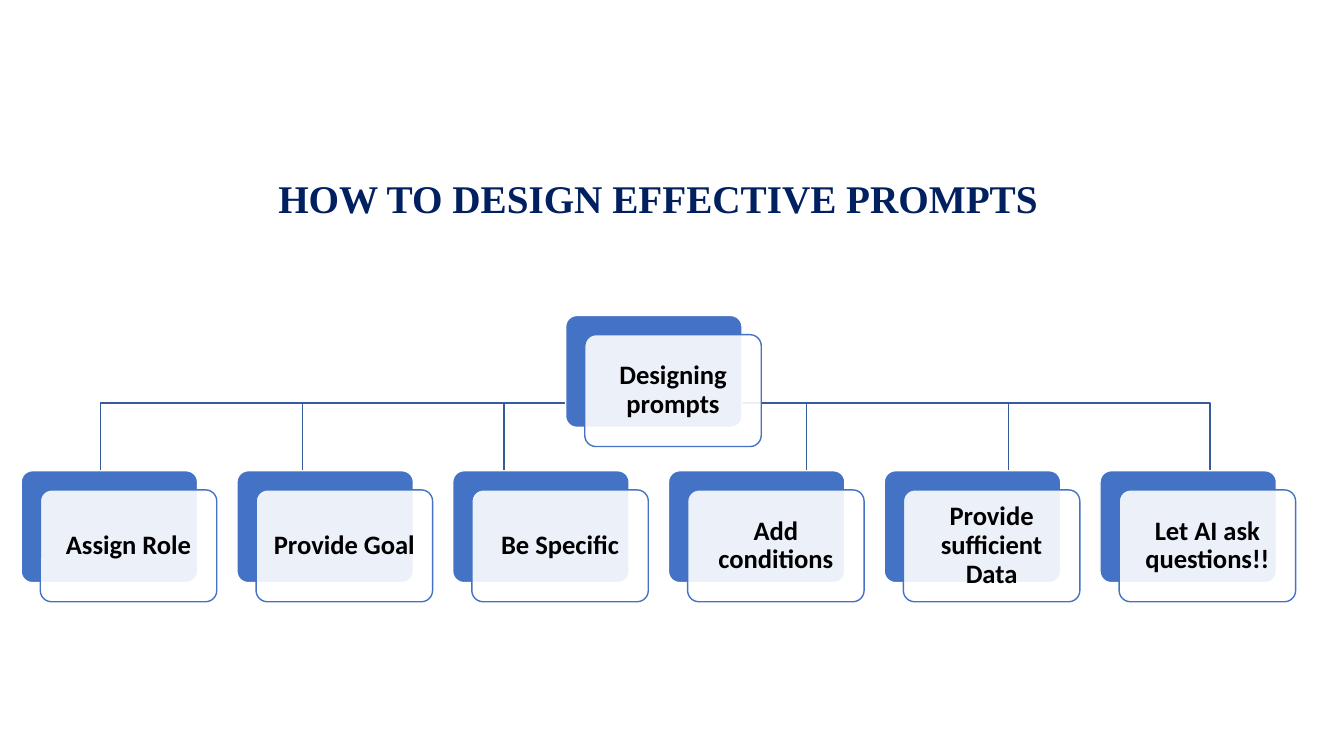
from dataclasses import dataclass

import lxml.etree
import pptx
import pptx.dml.color
import pptx.enum.shapes
import pptx.enum.text
import pptx.oxml.ns
import pptx.util
from pptx.util import Inches

RGB = pptx.dml.color.RGBColor.from_string
ALIGN = pptx.enum.text.PP_ALIGN
ANCHOR = pptx.enum.text.MSO_ANCHOR


@dataclass(frozen=True)
class Theme:
    block: str = "4472C4"
    branch: str = "365B9D"
    paper: str = "FFFFFF"
    ink: str = "000000"
    heading: str = "002060"
    heading_font: str = "Times New Roman"
    card_font: str = "Calibri"
    heading_size: int = 28
    card_size: int = 19
    line_width: int = 1
    card_opacity: int = 90


@dataclass(frozen=True)
class Card:
    label: str
    left: float
    top: float

    @property
    def stem(self) -> float:
        return self.left + 0.87


THEME = Theme()

# Hierarchy layout, in inches
CARD_WIDTH, CARD_HEIGHT = 1.75, 1.11
CARD_OFFSET = 0.19
BRANCH_Y = 4.5
STEP_LEFT, STEP_TOP, STEP_PITCH = 0.21, 4.67, 2.14

STEP_LABELS = [
    "Assign Role",
    "Provide Goal",
    "Be Specific",
    "Add conditions",
    "Provide sufficient Data",
    "Let AI ask questions!!",
]
ROOT = Card("Designing prompts", 5.61, 3.13)
STEPS = [Card(label, STEP_LEFT + i * STEP_PITCH, STEP_TOP)
         for i, label in enumerate(STEP_LABELS)]


def apply_format(target, values: dict) -> None:
    for name, value in values.items():
        setattr(target, name, value)


def write_text(shape, text: str, frame_format: dict, paragraph_format: dict,
               font_format: dict, color: str) -> None:
    frame = shape.text_frame
    frame.text = text
    apply_format(frame, {"word_wrap": True, **frame_format})
    paragraph = frame.paragraphs[0]
    apply_format(paragraph, paragraph_format)
    font = paragraph.runs[0].font
    apply_format(font, {"bold": True, **font_format})
    font.color.rgb = RGB(color)


def set_line(shape, color: str) -> None:
    shape.shadow.inherit = False
    shape.line.color.rgb = RGB(color)
    shape.line.width = pptx.util.Pt(THEME.line_width)


def add_branch(slide, parent: Card, child: Card) -> None:
    builder = slide.shapes.build_freeform(
        parent.stem, parent.top + CARD_HEIGHT, scale=Inches(1))
    builder.add_line_segments(
        [(parent.stem, BRANCH_Y), (child.stem, BRANCH_Y), (child.stem, child.top)],
        close=False)
    branch = builder.convert_to_shape()
    branch.fill.background()
    set_line(branch, THEME.branch)


def add_panel(slide, left: float, top: float, fill: str, line: str):
    panel = slide.shapes.add_shape(
        pptx.enum.shapes.MSO_SHAPE.ROUNDED_RECTANGLE, Inches(left), Inches(top),
        Inches(CARD_WIDTH), Inches(CARD_HEIGHT))
    panel.adjustments[0] = 0.1
    panel.fill.solid()
    panel.fill.fore_color.rgb = RGB(fill)
    set_line(panel, line)
    return panel


def add_card(slide, card: Card) -> None:
    add_panel(slide, card.left, card.top, THEME.block, THEME.paper)
    front = add_panel(slide, card.left + CARD_OFFSET, card.top + CARD_OFFSET,
                      THEME.paper, THEME.block)
    fill_color = front.fill._xPr.find(".//" + pptx.oxml.ns.qn("a:srgbClr"))
    lxml.etree.SubElement(fill_color, pptx.oxml.ns.qn("a:alpha"),
                          val=str(THEME.card_opacity * 1000))
    margins = {f"margin_{side}": Inches(0.11)
               for side in ("left", "top", "right", "bottom")}
    write_text(front, card.label,
               {**margins, "vertical_anchor": ANCHOR.MIDDLE},
               {"alignment": ALIGN.CENTER, "line_spacing": 0.9},
               {"name": THEME.card_font, "size": pptx.util.Pt(THEME.card_size)},
               THEME.ink)


def add_heading(slide) -> None:
    title = slide.shapes.title
    apply_format(title, {"left": Inches(0.72), "top": Inches(1.68),
                         "width": Inches(10.89), "height": Inches(0.57)})
    write_text(title, "HOW TO DESIGN EFFECTIVE PROMPTS",
               {"margin_left": Inches(2.04), "vertical_anchor": ANCHOR.TOP,
                "auto_size": pptx.enum.text.MSO_AUTO_SIZE.NONE},
               {"alignment": ALIGN.LEFT, "line_spacing": 1.0,
                "space_before": pptx.util.Pt(0), "space_after": pptx.util.Pt(6)},
               {"name": THEME.heading_font,
                "size": pptx.util.Pt(THEME.heading_size)},
               THEME.heading)


def main() -> None:
    presentation = pptx.Presentation()
    presentation.slide_width = Inches(13.33)
    presentation.slide_height = Inches(7.5)
    slide = presentation.slides.add_slide(
        presentation.slide_layouts.get_by_name("Title Only"))

    # Heading
    add_heading(slide)

    # Branches behind the cards
    for step in STEPS:
        add_branch(slide, ROOT, step)

    # Root and step cards
    for card in [ROOT, *STEPS]:
        add_card(slide, card)

    presentation.save("out.pptx")


if __name__ == "__main__":
    main()
